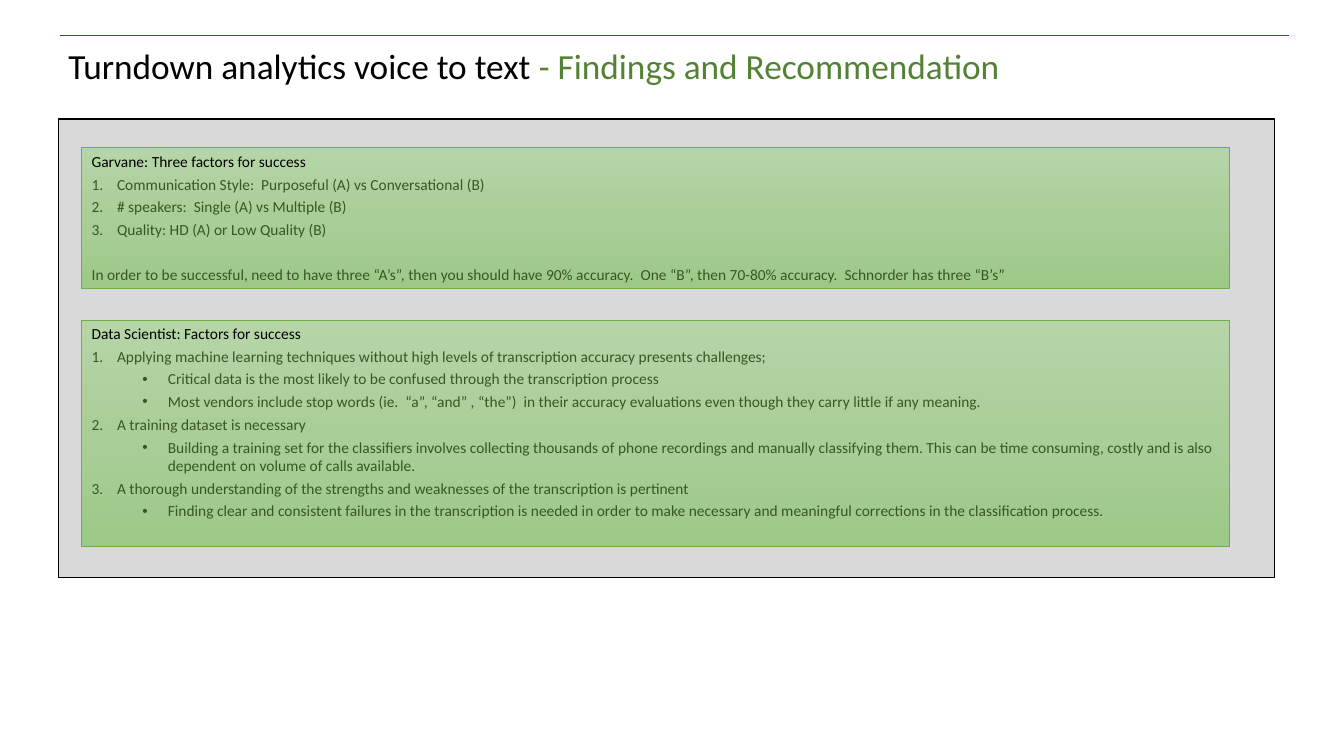
from copy import deepcopy
from dataclasses import dataclass

from lxml.etree import SubElement
from pptx import Presentation
from pptx.dml.color import RGBColor
from pptx.enum.shapes import MSO_CONNECTOR as Connector, MSO_SHAPE as Shape
from pptx.enum.text import MSO_ANCHOR as Anchor, MSO_AUTO_SIZE as AutoSize, PP_ALIGN as Align
from pptx.oxml.ns import qn
from pptx.util import Cm, Pt

FONT = "Calibri"
COLORS = {
    "rule": "008000",
    "black": "000000",
    "title_accent": "548235",
    "panel": "D9D9D9",
    "box_line": "70AD47",
    "box_text": "385723",
}
BOX_GRADIENT = {0: "B5D5A7", 0.5: "AACE9A", 1: "9CC987"}
BOX_LEFT, BOX_WIDTH = 2.06, 28.93
INDENT = 0.64


@dataclass
class Item:
    text: str
    kind: str = "number"
    space_before: float = 0


@dataclass
class Findings:
    top: float
    height: float
    items: list[Item]
    bottom_inset: float = 0.13


FINDINGS = [
    Findings(3.71, 3.56, [
        Item("Garvane: Three factors for success", "heading"),
        Item("Communication Style:  Purposeful (A) vs Conversational (B)"),
        Item("# speakers:  Single (A) vs Multiple (B)"),
        Item("Quality: HD (A) or Low Quality (B)"),
        Item("In order to be successful, need to have three “A’s”, then you should have 90% accuracy.  "
             "One “B”, then 70-80% accuracy.  Schnorder has three “B’s”", "plain", 16),
    ]),
    Findings(8.08, 5.69, [
        Item("Data Scientist: Factors for success", "heading"),
        Item("Applying machine learning techniques without high levels of transcription accuracy "
             "presents challenges;"),
        Item("Critical data is the most likely to be confused through the transcription process", "bullet"),
        Item("Most vendors include stop words (ie.  “a”, “and” , “the”)  in their accuracy evaluations "
             "even though they carry little if any meaning.", "bullet"),
        Item("A training dataset is necessary"),
        Item("Building a training set for the classifiers involves collecting thousands of phone "
             "recordings and manually classifying them. This can be time consuming, costly and is also "
             "dependent on volume of calls available.", "bullet"),
        Item("A thorough understanding of the strengths and weaknesses of the transcription is pertinent"),
        Item("Finding clear and consistent failures in the transcription is needed in order to make "
             "necessary and meaningful corrections in the classification process.", "bullet"),
    ], 0.7),
]


def rgb(name: str) -> RGBColor:
    return RGBColor.from_string(COLORS[name])


def add_run(paragraph, text: str, size: float, color: str) -> None:
    run = paragraph.add_run()
    run.text = text
    run.font.name = FONT
    run.font.size = Pt(size)
    run.font.color.rgb = rgb(color)


def add_rectangle(slide, left: float, top: float, width: float, height: float,
                  line_color: str, line_width: float):
    rectangle = slide.shapes.add_shape(Shape.RECTANGLE, Cm(left), Cm(top), Cm(width), Cm(height))
    rectangle.shadow.inherit = False
    rectangle.line.color.rgb = rgb(line_color)
    rectangle.line.width = Pt(line_width)
    return rectangle


def add_rule(slide) -> None:
    rule = slide.shapes.add_connector(Connector.STRAIGHT, Cm(1.52), Cm(0.89), Cm(32.49), Cm(0.89))
    rule.line.color.rgb = rgb("rule")
    rule.line.width = Pt(0.5)
    SubElement(rule._element.spPr, qn("a:effectLst"))


def set_title(slide) -> None:
    title = slide.shapes.title
    title.left, title.top, title.width, title.height = Cm(1.47), Cm(1.35), Cm(31.34), Cm(1.68)
    frame = title.text_frame
    frame.word_wrap = True
    frame.auto_size = AutoSize.NONE
    frame.vertical_anchor = Anchor.MIDDLE
    frame.margin_top, frame.margin_bottom = Cm(0), Cm(0.97)
    heading = frame.paragraphs[0]
    heading.alignment = Align.LEFT
    heading.line_spacing = 0.9
    add_run(heading, "Turndown analytics voice to text ", 25.2, "black")
    add_run(heading, "- Findings and Recommendation", 25.2, "title_accent")


def fill_gradient(box) -> None:
    box.fill.gradient()
    box.fill.gradient_angle = 270
    first_stop = next(box._element.spPr.iter(qn("a:gs")))
    first_stop.addnext(deepcopy(first_stop))
    for stop, (position, color) in zip(box.fill.gradient_stops, BOX_GRADIENT.items()):
        stop.position = position
        stop.color.rgb = RGBColor.from_string(color)


def set_marker(paragraph, kind: str) -> None:
    properties = paragraph._p.get_or_add_pPr()
    paragraph.level = 1 if kind == "bullet" else 0
    properties.set("marL", str(Cm(INDENT * (3 if kind == "bullet" else 1))))
    properties.set("indent", str(-Cm(INDENT)))
    if kind == "bullet":
        SubElement(properties, qn("a:buFont"), typeface="Arial")
        SubElement(properties, qn("a:buChar"), char="•")
    else:
        SubElement(properties, qn("a:buFont"), typeface=FONT)
        SubElement(properties, qn("a:buAutoNum"), type="arabicPeriod")


def add_findings(slide, findings: Findings) -> None:
    box = add_rectangle(slide, BOX_LEFT, findings.top, BOX_WIDTH, findings.height, "box_line", 0.5)
    fill_gradient(box)
    frame = box.text_frame
    frame.word_wrap = True
    frame.vertical_anchor = Anchor.MIDDLE
    frame.margin_bottom = Cm(findings.bottom_inset)
    for index, item in enumerate(findings.items):
        paragraph = frame.add_paragraph() if index else frame.paragraphs[0]
        paragraph.alignment = Align.LEFT
        paragraph.space_before = Pt(item.space_before)
        paragraph.space_after = Pt(3)
        if item.kind in ("number", "bullet"):
            set_marker(paragraph, item.kind)
        add_run(paragraph, item.text, 11, "black" if item.kind == "heading" else "box_text")


def main() -> None:
    deck = Presentation()
    deck.slide_width, deck.slide_height = Cm(33.87), Cm(19.05)
    slide = deck.slides.add_slide(deck.slide_layouts[5])
    add_rule(slide)
    set_title(slide)
    panel = add_rectangle(slide, 1.47, 3, 30.66, 11.56, "black", 0.75)
    panel.fill.solid()
    panel.fill.fore_color.rgb = rgb("panel")
    for findings in FINDINGS:
        add_findings(slide, findings)
    deck.save("out.pptx")


if __name__ == "__main__":
    main()
